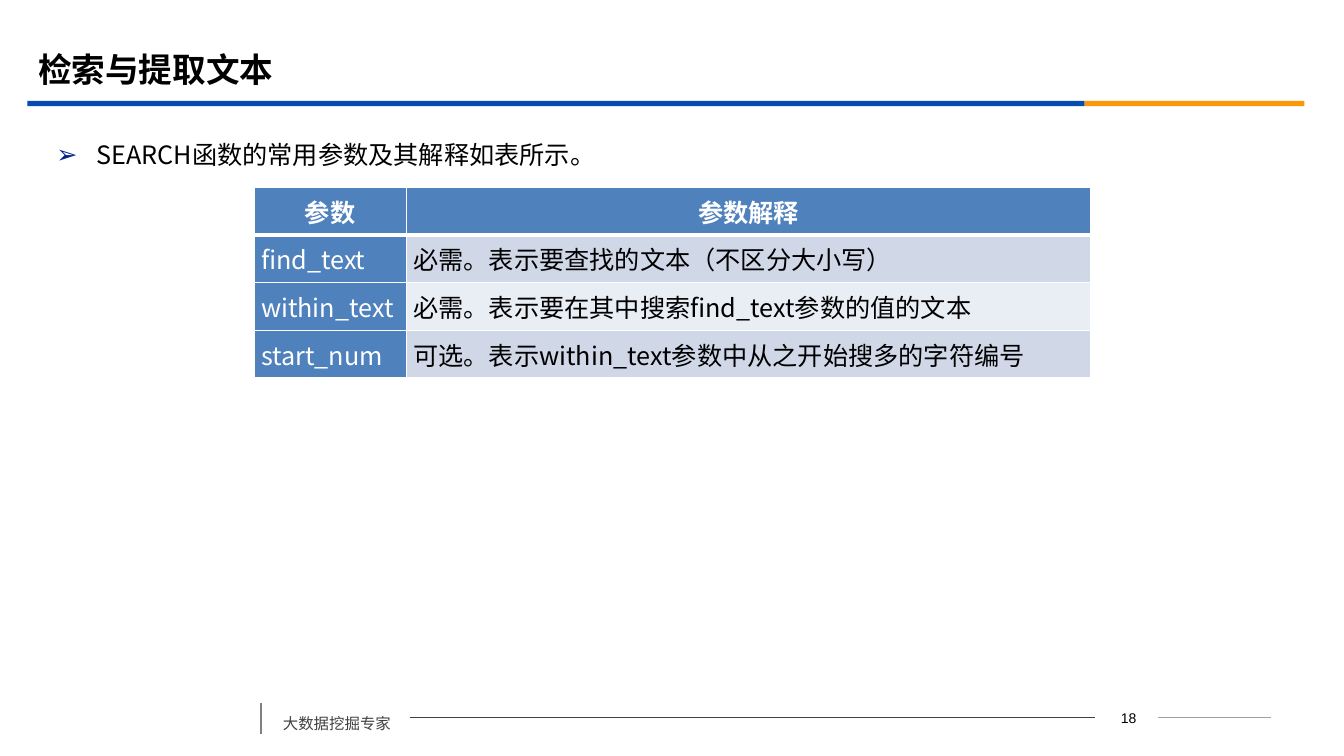
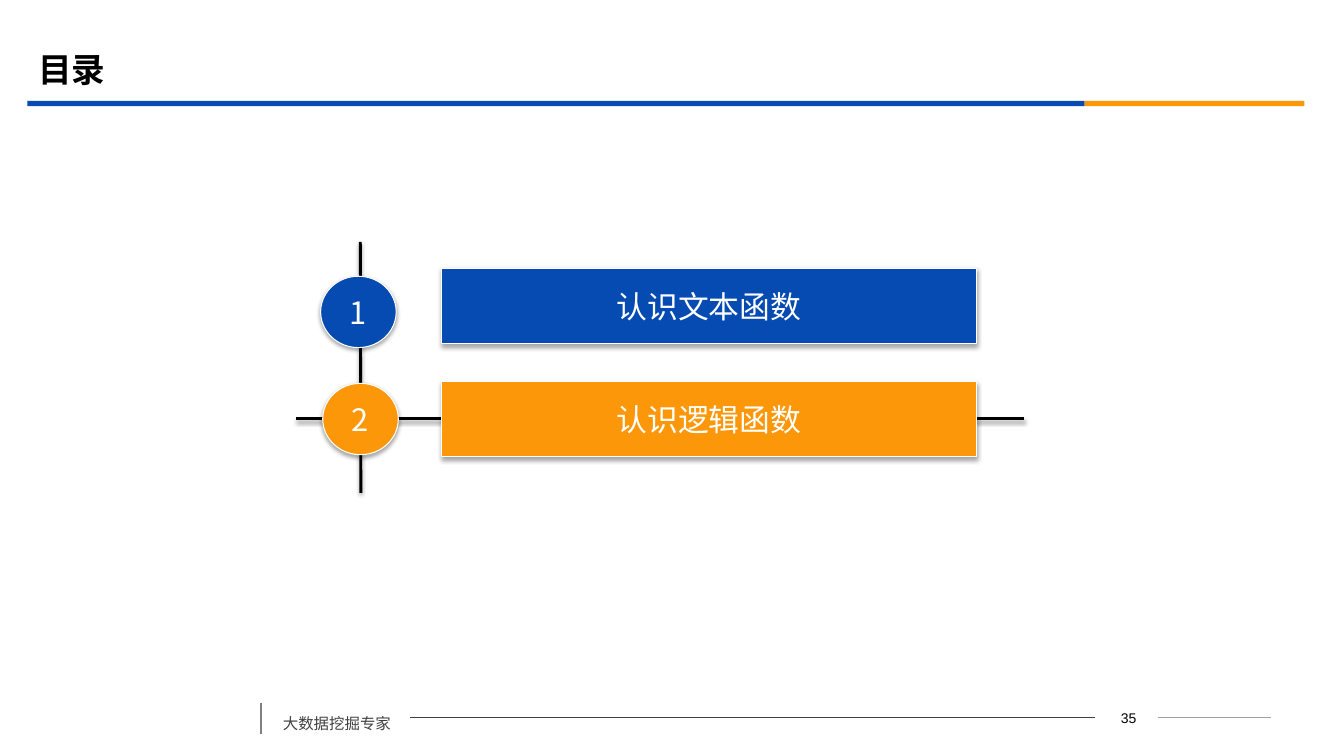
from dataclasses import dataclass

from lxml.etree import SubElement
from pptx import Presentation
from pptx.dml.color import RGBColor as RGB
from pptx.enum.shapes import MSO_CONNECTOR, MSO_SHAPE
from pptx.enum.text import MSO_ANCHOR as ANCHOR, PP_ALIGN as ALIGN
from pptx.oxml import parse_xml
from pptx.oxml.ns import nsdecls, qn
from pptx.util import Pt


@dataclass(frozen=True)
class Theme:
    font: str = "Noto Sans CJK SC"
    number_font: str = "Arial"
    blue: str = "064BB2"
    orange: str = "FB9708"
    black: str = "000000"
    white: str = "FFFFFF"
    bullet: str = "032089"
    footer_text: str = "404040"
    footer_rule: str = "424242"
    footer_tail: str = "A0A0A0"
    footer_mark: str = "808080"
    table_head: str = "4F81BD"
    table_odd: str = "D0D8E8"
    table_even: str = "E9EDF4"
    title_size: int = 24
    agenda_size: int = 22
    body_size: int = 18
    footer_size: int = 11
    number_size: int = 10


theme = Theme()


def style_text(paragraph, size, color, align=ALIGN.LEFT, bold=False, name=theme.font):
    """Format a paragraph, with the same typeface for Latin and East Asian text."""
    paragraph.alignment = align
    font = paragraph.font
    font.name, font.size, font.bold = name, Pt(size), bold
    font.color.rgb = RGB.from_string(color)
    defaults = paragraph._p.pPr.find(qn("a:defRPr"))
    SubElement(defaults, qn("a:ea")).set("typeface", name)


def set_shadow(shape, distance=0, alpha=0):
    """Replace the theme's effects by a downward shadow, or by none if alpha is 0."""
    effects = SubElement(shape.element.spPr, qn("a:effectLst"))
    if alpha:
        effects.append(parse_xml(
            f'<a:outerShdw {nsdecls("a")} blurRad="{Pt(3.1)}" dist="{Pt(distance)}" '
            f'dir="5400000" rotWithShape="0"><a:srgbClr val="{theme.black}">'
            f'<a:alpha val="{alpha * 1000}"/></a:srgbClr></a:outerShdw>'))


prs = Presentation()
prs.slide_width, prs.slide_height = Pt(960), Pt(540)
master = prs.slide_master
for placeholder, box in zip(master.placeholders, [(20, 28, 864, 42), (33, 85, 875, 396)]):
    placeholder.left, placeholder.top, placeholder.width, placeholder.height = map(Pt, box)

search_slide = prs.slides.add_slide(prs.slide_layouts.get_by_name("Title and Content"))
agenda_slide = prs.slides.add_slide(prs.slide_layouts.get_by_name("Title Only"))

# Shared band and footer, drawn once and moved to the master
shared = []
for left, width, color in [(19.5, 755.2, theme.blue), (774.7, 157, theme.orange)]:
    band = search_slide.shapes.add_shape(
        MSO_SHAPE.RECTANGLE, Pt(left), Pt(72), Pt(width), Pt(3.8))
    band.fill.solid()
    band.fill.fore_color.rgb = RGB.from_string(color)
    band.line.fill.background()
    set_shadow(band)
    shared.append(band)

for x1, y1, x2, y2, color, weight in [
    (293, 512.8, 782.5, 512.8, theme.footer_rule, 0.75),
    (827.5, 512.8, 908, 512.8, theme.footer_tail, 0.75),
    (186.6, 502.5, 186.6, 524.2, theme.footer_mark, 1.25),
]:
    rule = search_slide.shapes.add_connector(
        MSO_CONNECTOR.STRAIGHT, Pt(x1), Pt(y1), Pt(x2), Pt(y2))
    rule.line.color.rgb = RGB.from_string(color)
    rule.line.width = Pt(weight)
    set_shadow(rule)
    shared.append(rule)

slogan = search_slide.shapes.add_textbox(Pt(195), Pt(499.7), Pt(98), Pt(27.4))
slogan.text_frame.word_wrap = True
slogan_line = slogan.text_frame.paragraphs[0]
slogan_line.text = "大数据挖掘专家"
slogan_line.line_spacing, slogan_line.space_before = 1.5, Pt(6)
style_text(slogan_line, theme.footer_size, theme.footer_text)
shared.append(slogan)

for shape_id, part in enumerate(shared, start=20):
    part.element[0][0].set("id", str(shape_id))
    master.shapes.element.append(part.element)

for slide, heading, page in [(search_slide, "检索与提取文本", 18), (agenda_slide, "目录", 35)]:
    slide.shapes.title.text = heading
    style_text(slide.shapes.title.text_frame.paragraphs[0],
               theme.title_size, theme.black, bold=True)
    page_number = slide.shapes.add_textbox(Pt(782.5), Pt(503.3), Pt(44.5), Pt(18))
    page_number.text_frame.word_wrap = True
    page_line = page_number.text_frame.paragraphs[0]
    page_line.text = f" {page}"
    style_text(page_line, theme.number_size, theme.black, ALIGN.CENTER, name=theme.number_font)

# SEARCH parameters
intro = search_slide.placeholders[1].text_frame.paragraphs[0]
intro.text = "SEARCH函数的常用参数及其解释如表所示。"
intro.line_spacing, intro.space_before = 1.5, Pt(3.6)
style_text(intro, theme.body_size, theme.black)
intro_props = intro._p.pPr
intro_props.set("marL", str(Pt(28.8)))
intro_props.set("indent", str(-Pt(28.8)))
for bullet_part in [
    f'<a:buClr {nsdecls("a")}><a:srgbClr val="{theme.bullet}"/></a:buClr>',
    f'<a:buFont {nsdecls("a")} typeface="{theme.number_font}"/>',
    f'<a:buChar {nsdecls("a")} char="➢"/>',
]:
    intro_props.find(qn("a:defRPr")).addprevious(parse_xml(bullet_part))

parameters = [
    ("参数", "参数解释"),
    ("find_text", "必需。表示要查找的文本（不区分大小写）"),
    ("within_text", "必需。表示要在其中搜索find_text参数的值的文本"),
    ("start_num", "可选。表示within_text参数中从之开始搜多的字符编号"),
]
column_widths = [108.7, 488.9]
row_height = 34
grid = search_slide.shapes.add_table(
    len(parameters), len(column_widths), Pt(181.5), Pt(134),
    Pt(sum(column_widths)), Pt(row_height * len(parameters))).table
for column, width in zip(grid.columns, column_widths):
    column.width = Pt(width)
for r, entry in enumerate(parameters):
    grid.rows[r].height = Pt(row_height)
    for c, wording in enumerate(entry):
        cell = grid.cell(r, c)
        cell.text = wording
        cell.vertical_anchor = ANCHOR.MIDDLE
        cell.margin_left = cell.margin_right = Pt(5)
        cell.margin_top = cell.margin_bottom = 0
        is_head = r == 0
        on_blue = is_head or c == 0
        style_text(cell.text_frame.paragraphs[0], theme.body_size,
                   theme.white if on_blue else theme.black,
                   ALIGN.CENTER if is_head else ALIGN.JUSTIFY, is_head)
        for side in "LRTB":
            heavy = (r, side) in [(0, "B"), (1, "T")]
            cell._tc.get_or_add_tcPr().append(parse_xml(
                f'<a:ln{side} {nsdecls("a")} w="{Pt(3 if heavy else 1)}"><a:solidFill>'
                f'<a:srgbClr val="{theme.white}"/></a:solidFill></a:ln{side}>'))
        stripe = theme.table_odd if r % 2 else theme.table_even
        cell.fill.solid()
        cell.fill.fore_color.rgb = RGB.from_string(theme.table_head if on_blue else stripe)

# Agenda
for x1, y1, x2, y2 in [(257.4, 172.8, 257.8, 352), (211.7, 298.8, 731.5, 298.8)]:
    axis = agenda_slide.shapes.add_connector(
        MSO_CONNECTOR.STRAIGHT, Pt(x1), Pt(y1), Pt(x2), Pt(y2))
    axis.line.color.rgb = RGB.from_string(theme.black)
    axis.line.width = Pt(2)
    set_shadow(axis, distance=1.6, alpha=38)

for number, topic, color, circle_left, circle_top, bar_top in [
    ("1", "认识文本函数", theme.blue, 229, 197.3, 191.5),
    ("2", "认识逻辑函数", theme.orange, 230.5, 273.8, 272.4),
]:
    for wording, outline, left, top, width, height in [
        (number, MSO_SHAPE.OVAL, circle_left, circle_top, 54, 51),
        (topic, MSO_SHAPE.ACTION_BUTTON_CUSTOM, 315.2, bar_top, 382.4, 54),
    ]:
        item = agenda_slide.shapes.add_shape(outline, Pt(left), Pt(top), Pt(width), Pt(height))
        item.fill.solid()
        item.fill.fore_color.rgb = RGB.from_string(color)
        item.line.color.rgb = RGB.from_string(theme.white)
        item.line.width = Pt(0.75)
        set_shadow(item, distance=1.8, alpha=35)
        item.text_frame.word_wrap = False
        item.text_frame.vertical_anchor = ANCHOR.MIDDLE
        item_line = item.text_frame.paragraphs[0]
        item_line.text = wording
        style_text(item_line, theme.agenda_size, theme.white, ALIGN.CENTER)

prs.save("out.pptx")
